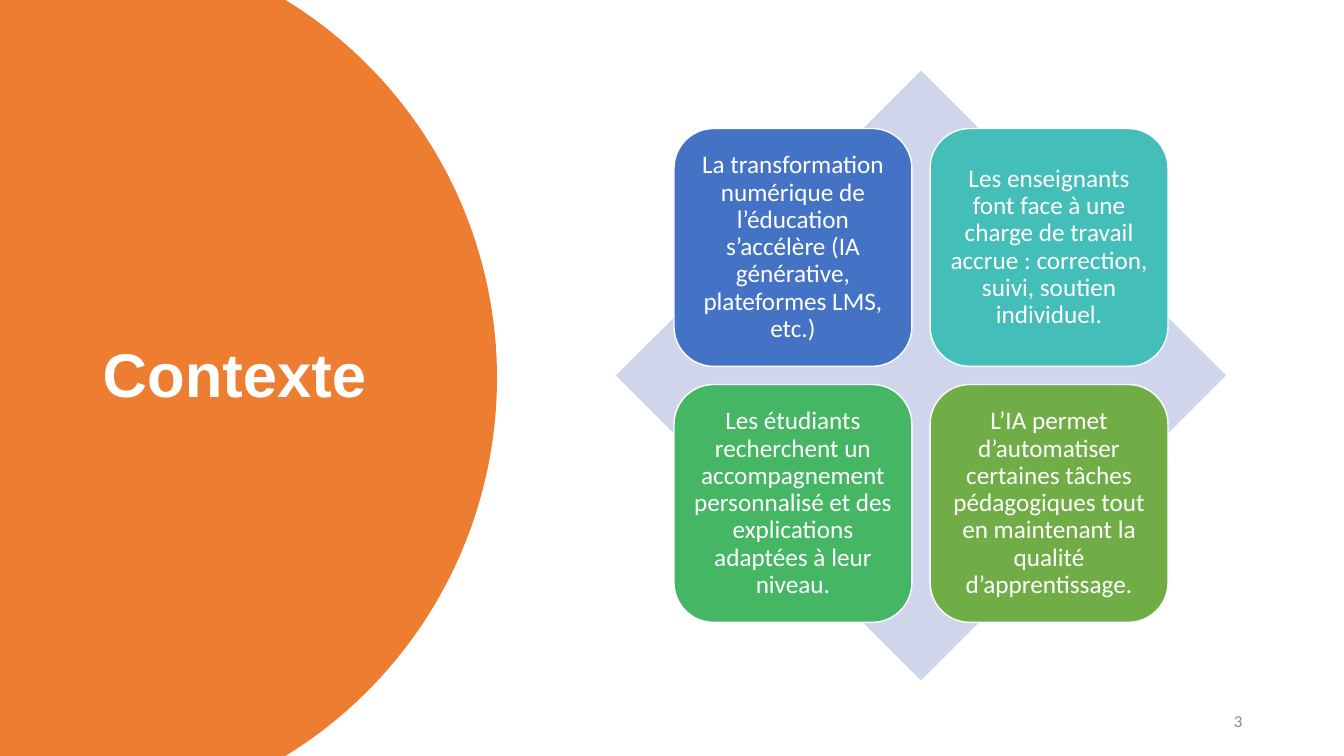
from dataclasses import dataclass
from math import asin, cos, sin

from pptx import Presentation
from pptx.dml.color import RGBColor
from pptx.enum.shapes import MSO_SHAPE
from pptx.enum.text import MSO_ANCHOR, PP_ALIGN
from pptx.util import Inches, Pt

DIAMOND = MSO_SHAPE.DIAMOND
ROUNDED = MSO_SHAPE.ROUNDED_RECTANGLE
MIDDLE = MSO_ANCHOR.MIDDLE
LEFT, CENTER, RIGHT = PP_ALIGN.LEFT, PP_ALIGN.CENTER, PP_ALIGN.RIGHT


@dataclass(frozen=True)
class Theme:
    accent: str = "ED7D31"
    diamond: str = "CFD5EA"
    white: str = "FFFFFF"
    muted: str = "898989"
    title_font: str = "Arial"
    body_font: str = "Calibri"
    title_size: int = 44
    body_size: int = 18
    number_size: int = 12


THEME = Theme()

CARDS = [
    ("4472C4", "La transformation numérique de l’éducation s’accélère "
               "(IA générative, plateformes LMS, etc.)"),
    ("43BEB9", "Les enseignants font face à une charge de travail accrue : "
               "correction, suivi, soutien individuel."),
    ("45B664", "Les étudiants recherchent un accompagnement personnalisé "
               "et des explications adaptées à leur niveau."),
    ("70AD47", "L’IA permet d’automatiser certaines tâches pédagogiques "
               "tout en maintenant la qualité d’apprentissage."),
]


def paint(shape, color, outlined=False):
    shape.shadow.inherit = False
    shape.fill.solid()
    shape.fill.fore_color.rgb = RGBColor.from_string(color)
    if outlined:
        shape.line.color.rgb = RGBColor.from_string(THEME.white)
        shape.line.width = Pt(1)
    else:
        shape.line.fill.background()


def write(shape, text, font, size, color, align, spacing=1.0, bold=False):
    frame = shape.text_frame
    frame.word_wrap = True
    frame.vertical_anchor = MIDDLE
    frame.text = text
    para = frame.paragraphs[0]
    para.alignment = align
    para.line_spacing = spacing
    span = para.runs[0]
    span.font.name = font
    span.font.size = Pt(size)
    span.font.bold = bold
    span.font.color.rgb = RGBColor.from_string(color)


def add_title_panel(page, left, top, width, height):
    radius = 4.4
    middle = top + height / 2
    center = left + width - radius
    sweep = asin(height / 2 / radius)
    steps = 80
    angles = [sweep * (2 * step / steps - 1) for step in range(steps + 1)]
    arc = [(Inches(center + radius * cos(angle)), Inches(middle + radius * sin(angle)))
           for angle in angles]
    outline = page.shapes.build_freeform(Inches(left), Inches(top))
    outline.add_line_segments(arc + [(Inches(left), Inches(top + height))], close=True)
    paint(outline.convert_to_shape(), THEME.accent)

    title = page.shapes.add_textbox(
        Inches(left + 0.92), Inches(top + 0.7), Inches(3.23), Inches(6.09))
    write(title, "Contexte", THEME.title_font, THEME.title_size, THEME.white,
          LEFT, spacing=0.9, bold=True)


def add_card_matrix(page, left, top, size):
    diamond = page.shapes.add_shape(
        DIAMOND, Inches(left), Inches(top), Inches(size), Inches(size))
    paint(diamond, THEME.diamond)

    card_size, pitch = 2.36, 2.54
    margin = (size - pitch - card_size) / 2
    for index, (color, text) in enumerate(CARDS):
        row, column = divmod(index, 2)
        card = page.shapes.add_shape(
            ROUNDED,
            Inches(left + margin + column * pitch), Inches(top + margin + row * pitch),
            Inches(card_size), Inches(card_size))
        paint(card, color, outlined=True)
        write(card, text, THEME.body_font, THEME.body_size, THEME.white,
              CENTER, spacing=0.9)
        frame = card.text_frame
        frame.margin_left = frame.margin_right = Inches(0.07)
        frame.margin_top = frame.margin_bottom = Inches(0.07)


def add_page_number(page, left, top, width, height):
    box = page.shapes.add_textbox(Inches(left), Inches(top), Inches(width), Inches(height))
    write(box, "3", THEME.body_font, THEME.number_size, THEME.muted, RIGHT)


def main():
    deck = Presentation()
    deck.slide_width = Inches(13.33)
    deck.slide_height = Inches(7.5)
    page = deck.slides.add_slide(deck.slide_layouts[6])
    add_title_panel(page, 0, 0, 4.93, 7.5)
    add_page_number(page, 9.42, 6.95, 3, 0.4)
    add_card_matrix(page, 6.11, 0.7, 6.05)
    deck.save("out.pptx")


if __name__ == "__main__":
    main()
